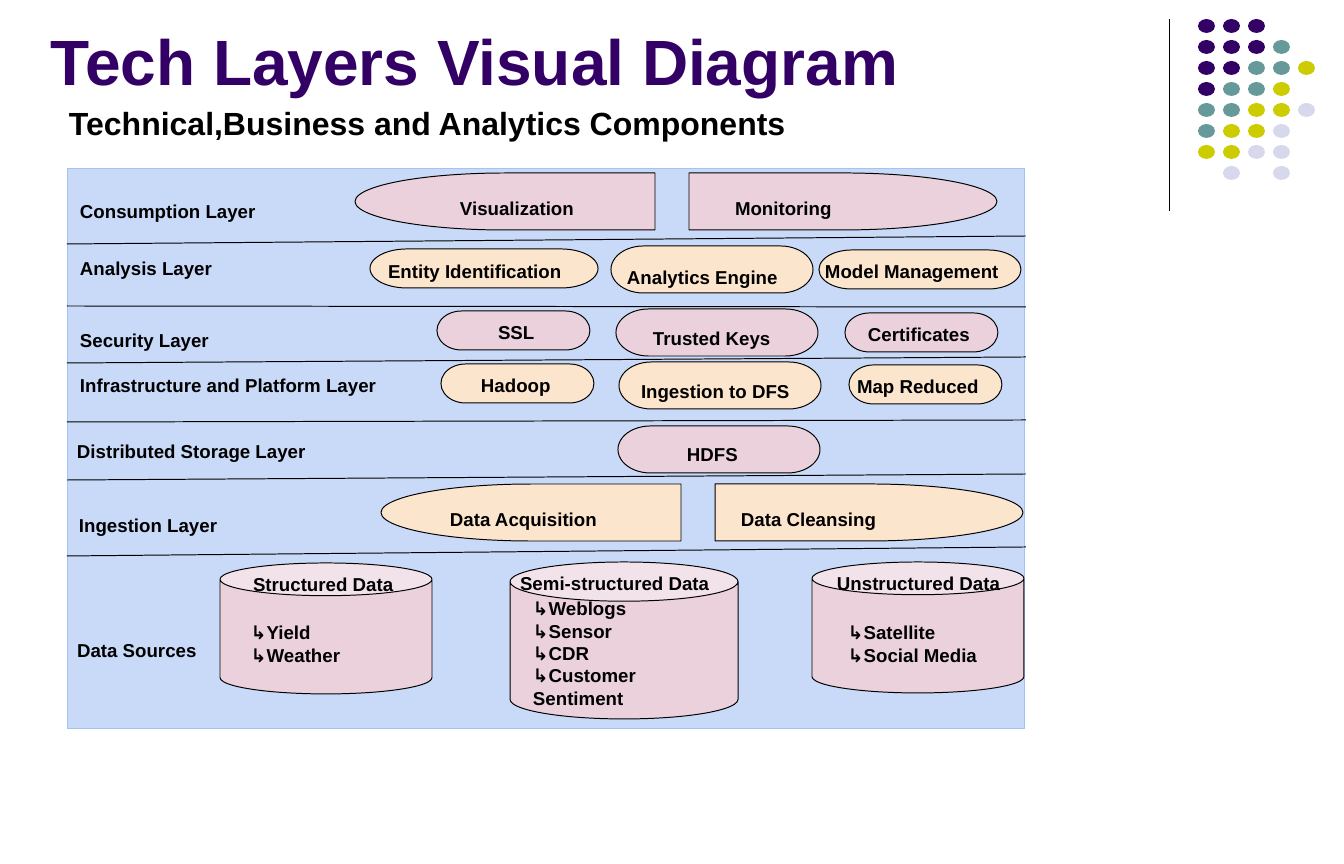
from lxml import etree
from pptx import Presentation
from pptx.dml.color import RGBColor
from pptx.enum.shapes import MSO_CONNECTOR, MSO_SHAPE
from pptx.oxml.ns import qn
from pptx.util import Emu, Pt

PX = 9525
LINE = MSO_CONNECTOR.STRAIGHT
OVAL, RECT, CAN = MSO_SHAPE.OVAL, MSO_SHAPE.RECTANGLE, MSO_SHAPE.CAN
DELAY, PILL = MSO_SHAPE.FLOWCHART_DELAY, MSO_SHAPE.FLOWCHART_TERMINATOR

COLORS = {
    "black": "000000", "title": "330066", "panel": "C9DAF8", "edge": "A4C2F4",
    "pink": "EAD1DC", "cream": "FCE5CD",
    "P": "330066", "T": "669999", "Y": "CCCC00", "L": "D8D8EC",
}
DOTS = ["PPP", "PPPT", "PPTTY", "PTTY", "TTYYL", "TYYL", "YYLL", " L L"]

# Each layer: label, label x, label y, separator ends, nodes.
# Each node: shape, rotation, x, y, width, height, text, text dx, text dy.
LAYERS = [
    ("Consumption Layer", 13, 21, (75, 67), [
        (DELAY, 180, 288, 4, 300, 57, "Visualization", 105, 14),
        (DELAY, 0, 622, 4, 308, 57, "Monitoring", 46, 14)]),
    ("Analysis Layer", 13, 78, (137, 138), [
        (PILL, 0, 303, 80, 228, 39, "Entity Identification", 18, 1),
        (PILL, 0, 544, 77, 202, 47, "Analytics Engine", 16, 10),
        (PILL, 0, 752, 81, 202, 39, "Model Management", 6, 0)]),
    ("Security Layer", 13, 150, (194, 188), [
        (PILL, 0, 370, 142, 153, 39, "SSL", 61, 0),
        (PILL, 0, 549, 140, 202, 47, "Trusted Keys", 37, 8),
        (PILL, 0, 778, 144, 153, 39, "Certificates", 23, 0)]),
    ("Infrastructure and Platform Layer", 13, 195, (253, 251), [
        (PILL, 0, 374, 195, 153, 39, "Hadoop", 40, 0),
        (PILL, 0, 552, 193, 202, 47, "Ingestion to DFS", 22, 8),
        (PILL, 0, 782, 196, 153, 39, "Map Reduced", 8, 0)]),
    ("Distributed Storage Layer", 10, 261, (311, 305), [
        (PILL, 0, 551, 257, 202, 47, "HDFS", 69, 7)]),
    ("Ingestion Layer", 12, 335, (387, 378), [
        (DELAY, 180, 314, 315, 300, 57, "Data Acquisition", 69, 14),
        (DELAY, 0, 648, 315, 308, 57, "Data Cleansing", 26, 14)]),
]

# Each source: x, y, width, height, title, title dx, items, items dx, items dy.
SOURCES = [
    (153, 394, 212, 131, "Structured Data", 33, ["↳Yield", "↳Weather"], 31, 48),
    (443, 393, 228, 157, "Semi-structured Data", 10,
     ["↳Weblogs", "↳Sensor", "↳CDR", "↳Customer Sentiment"], 23, 25),
    (745, 393, 212, 131, "Unstructured Data", 25,
     ["↳Satellite", "↳Social Media"], 36, 49),
]


def px(*values):
    """Turn px lengths into EMU."""
    return [Emu(v * PX) for v in values]


def rgb(name):
    """Look up a named colour."""
    return RGBColor.from_string(COLORS[name])


def add_shape(s, kind, x, y, w, h, fill, edge=None, rotation=0):
    """Add a filled preset shape with an optional outline."""
    sp = s.shapes.add_shape(kind, *px(x, y, w, h))
    sp.shadow.inherit = False
    sp.rotation = rotation
    sp.fill.solid()
    sp.fill.fore_color.rgb = rgb(fill)
    if edge:
        sp.line.color.rgb = rgb(edge)
        sp.line.width = Pt(0.75)
    else:
        sp.line.fill.background()


def add_line(s, x1, y1, x2, y2):
    """Add a thin black line."""
    line = s.shapes.add_connector(LINE, *px(x1, y1, x2, y2))
    line.line.color.rgb = rgb("black")
    line.line.width = Pt(0.75)
    etree.SubElement(line._element.spPr, qn("a:effectLst"))


def add_text(s, x, y, w, h, lines, size=14, color="black", inset=10):
    """Add bold left-aligned text whose first letter starts at x."""
    tf = s.shapes.add_textbox(*px(x - inset, y, w + inset, h)).text_frame
    tf.word_wrap = True
    tf.margin_left, tf.margin_top, tf.margin_right, tf.margin_bottom = px(
        inset, inset, 0, 0)
    for i, line in enumerate(lines):
        p = tf.paragraphs[0] if i == 0 else tf.add_paragraph()
        p.text = line
        p.font.name = "Arial"
        p.font.size = Pt(size)
        p.font.bold = True
        p.font.color.rgb = rgb(color)


def draw_corner(s, x, y):
    """Draw the rule and the dot grid in the top right corner."""
    add_line(s, x, y, x, y + 192)
    for row, codes in enumerate(DOTS):
        for col, code in enumerate(codes):
            if code != " ":
                add_shape(s, OVAL, x + 28 + 25 * col, y + 21 * row, 17, 14, code)


def draw_heading(s, x, y):
    """Draw the title and subtitle."""
    add_text(s, x, y, 1120, 85, ["Tech Layers Visual Diagram"], 48, "title", 7)
    add_text(s, x + 18, y + 82, 1100, 50,
             ["Technical,Business and Analytics Components"], 24, inset=7)


def draw_layers(s, x, y, w):
    """Draw the layer bands with their labels, nodes and separators."""
    for i, (label, lx, ly, (left, right), nodes) in enumerate(LAYERS):
        fill = ("pink", "cream")[i % 2]
        add_text(s, x + lx, y + ly, 340, 32, [label])
        for kind, rotation, nx, ny, nw, nh, text, dx, dy in nodes:
            add_shape(s, kind, x + nx, y + ny, nw, nh, fill, "black", rotation)
            add_text(s, x + nx + dx, y + ny + dy, nw - dx, 28, [text])
        add_line(s, x, y + left, x + w, y + right)


def draw_sources(s, x, y):
    """Draw the data source cylinders with their titles and items."""
    add_text(s, x + 10, y + 460, 140, 32, ["Data Sources"])
    for cx, cy, w, h, title, dx, items, ix, iy in SOURCES:
        add_shape(s, CAN, x + cx, y + cy, w, h, "pink", "black")
        add_text(s, x + cx + dx, y + cy, w - dx, 28, [title])
        add_text(s, x + cx + ix, y + cy + iy, 147, 97, items)


def main():
    """Build the slide."""
    prs = Presentation()
    prs.slide_width, prs.slide_height = px(1344, 864)
    s = prs.slides.add_slide(prs.slide_layouts[6])
    draw_corner(s, 1170, 19)
    draw_heading(s, 51, 15)
    add_shape(s, RECT, 67, 169, 958, 560, "panel", "edge")
    draw_sources(s, 67, 169)
    draw_layers(s, 67, 169, 959)
    prs.save("out.pptx")


if __name__ == "__main__":
    main()
